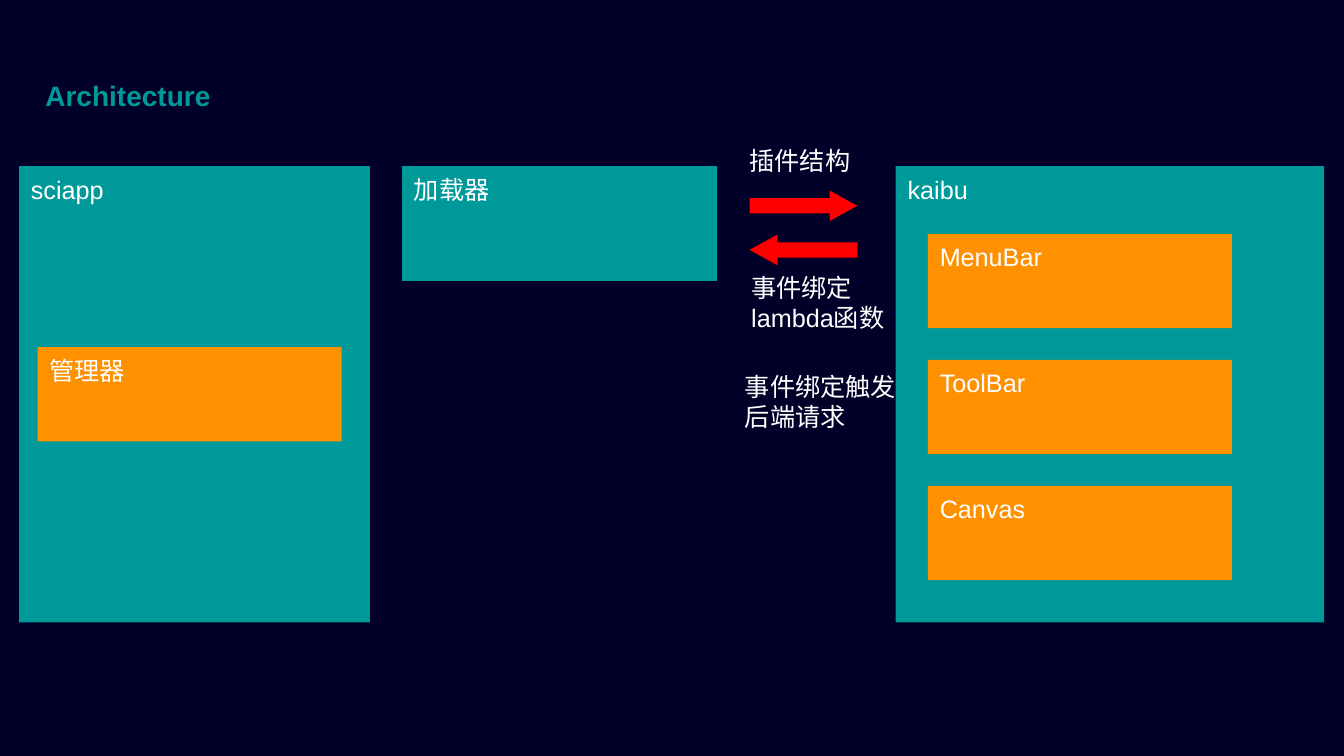
import pptx
import pptx.util
import pptx.dml.color
import pptx.enum.shapes
import pptx.enum.text

Pt = pptx.util.Pt
RGBColor = pptx.dml.color.RGBColor
MSO_SHAPE = pptx.enum.shapes.MSO_SHAPE
ANCHOR = pptx.enum.text.MSO_ANCHOR
ALIGN = pptx.enum.text.PP_ALIGN

NAVY = RGBColor(0x00, 0x00, 0x28)
TEAL = RGBColor(0x00, 0x99, 0x99)
ORANGE = RGBColor(0xFF, 0x90, 0x00)
RED = RGBColor(0xFF, 0x00, 0x00)
WHITE = RGBColor(0xFF, 0xFF, 0xFF)

presentation = pptx.Presentation()
presentation.slide_width = Pt(960)
presentation.slide_height = Pt(540)
slide = presentation.slides.add_slide(presentation.slide_layouts[6])
slide.background.fill.solid()
slide.background.fill.fore_color.rgb = NAVY


def add_filled(kind, left, top, width, height, color):
    shape = slide.shapes.add_shape(kind, Pt(left), Pt(top), Pt(width), Pt(height))
    shape.shadow.inherit = False
    shape.fill.solid()
    shape.fill.fore_color.rgb = color
    shape.line.fill.background()
    return shape


def write(shape, text, margins, size=18, color=WHITE, anchor=ANCHOR.TOP):
    frame = shape.text_frame
    frame.word_wrap = True
    frame.vertical_anchor = anchor
    frame.margin_left, frame.margin_top, frame.margin_right, frame.margin_bottom = map(Pt, margins)
    paragraph = frame.paragraphs[0]
    paragraph.text = text
    paragraph.alignment = ALIGN.LEFT
    paragraph.font.name = "Arial"
    paragraph.font.size = Pt(size)
    paragraph.font.color.rgb = color
    return paragraph


title = slide.shapes.add_textbox(Pt(32.4), Pt(36.7), Pt(776.9), Pt(45.4))
heading = write(title, "Architecture", (0, 0, 25.2, 1.4), 20, TEAL, ANCHOR.BOTTOM)
heading.font.bold = True
heading.line_spacing = 0.9

boxes = [
    ("加载器", 287.2, 118.6, 225, 82.1, TEAL),
    ("sciapp", 13.6, 118.6, 250.7, 326, TEAL),
    ("kaibu", 639.8, 118.6, 306, 326, TEAL),
    ("管理器", 26.9, 247.9, 217.2, 67.5, ORANGE),
]
for row, component in enumerate(["MenuBar", "ToolBar", "Canvas"]):
    boxes.append((component, 662.8, 167 + 90 * row, 217.2, 67.5, ORANGE))
for text, left, top, width, height, color in boxes:
    box = add_filled(MSO_SHAPE.RECTANGLE, left, top, width, height, color)
    write(box, text, (8.5, 5.7, 8.5, 5.7))

for kind, top in [(MSO_SHAPE.RIGHT_ARROW, 136.1), (MSO_SHAPE.LEFT_ARROW, 167.6)]:
    arrow = add_filled(kind, 535.4, top, 77, 21.8, RED)
    arrow.adjustments[0] = 0.5
    arrow.adjustments[1] = 0.91

for text, left, top, height in [
    ("插件结构", 535.4, 103.7, 21.8),
    ("事件绑定lambda函数", 536.6, 194.4, 43.6),
    ("事件绑定触发后端请求", 532.1, 265, 43.6),
]:
    label = slide.shapes.add_textbox(Pt(left), Pt(top), Pt(112.3), Pt(height))
    write(label, text, (0, 0, 0, 0))
    label.text_frame.auto_size = pptx.enum.text.MSO_AUTO_SIZE.SHAPE_TO_FIT_TEXT

presentation.save("out.pptx")
